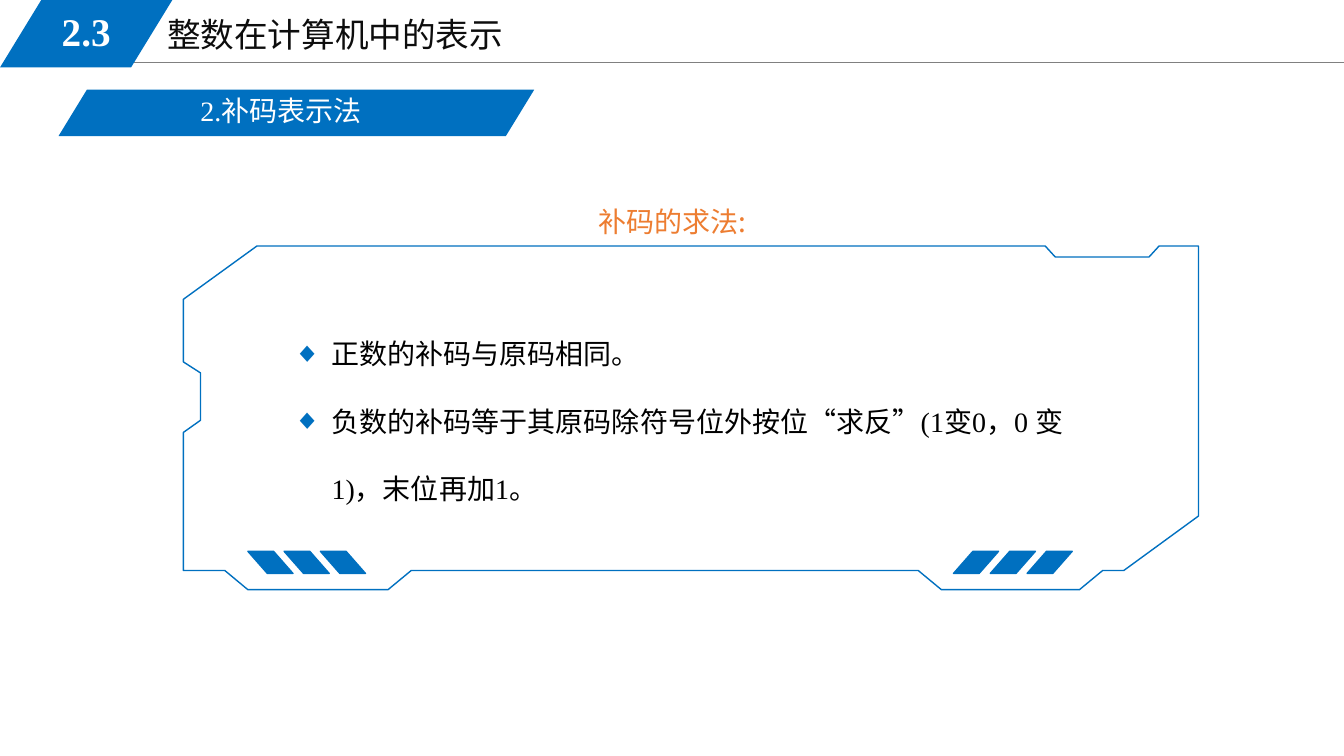
"""Build the slide on how to find the two's complement of an integer."""
from lxml import etree
from pptx import Presentation
from pptx.dml.color import RGBColor
from pptx.enum import shapes, text
from pptx.oxml import ns
from pptx.util import Pt

COLORS = {"blue": "0070C0", "orange": "ED7D31", "gray": "808080",
          "title": "0D0D0D", "black": "000000", "white": "FFFFFF"}
SERIF, CJK = "Times New Roman", "Noto Sans CJK SC"
FRAME = [(672.5, 421.2), (771.1, 421.2), (787.7, 407.5), (802.8, 407.5),
         (856.1, 368.6), (856.1, 175.7), (828, 175.7), (820.8, 183.6),
         (753.8, 183.6), (746.6, 175.7), (183.6, 175.7), (131, 213.8),
         (131, 258.5), (143.3, 266.4), (143.3, 300.2), (131, 308.9),
         (131, 407.5), (160.6, 407.5), (177.1, 421.2), (277.2, 421.2),
         (293.8, 407.5), (655.9, 407.5)]
RULES = ["正数的补码与原码相同。",
         "负数的补码等于其原码除符号位外按位“求反”(1变0，0 变1)，末位再加1。"]


def rgb(name):
    """Return the named colour."""
    return RGBColor.from_string(COLORS[name])


def add_bullet(p, char="◆", color="blue", indent=27.4):
    """Give a paragraph a coloured bullet with a hanging indent."""
    pPr = p._p.get_or_add_pPr()
    pPr.set("marL", str(Pt(indent)))
    pPr.set("indent", str(-Pt(indent)))
    clr = etree.SubElement(pPr, ns.qn("a:buClr"))
    etree.SubElement(clr, ns.qn("a:srgbClr"), val=COLORS[color])
    etree.SubElement(pPr, ns.qn("a:buFont"), typeface=SERIF)
    etree.SubElement(pPr, ns.qn("a:buChar"), char=char)


def add_text(slide, lines, x, y, w, h, size=20, color="black", font=SERIF,
             bold=False, align=text.PP_ALIGN.LEFT, anchor=text.MSO_ANCHOR.TOP,
             spacing=1.0, bullet=False):
    """Add a text box with one paragraph per line."""
    tf = slide.shapes.add_textbox(Pt(x), Pt(y), Pt(w), Pt(h)).text_frame
    tf.word_wrap = True
    tf.vertical_anchor = anchor
    for i, line in enumerate(lines):
        p = tf.paragraphs[0] if i == 0 else tf.add_paragraph()
        p.alignment = align
        p.line_spacing = spacing
        if bullet:
            add_bullet(p)
        r = p.add_run()
        r.text = line
        r.font.size, r.font.bold, r.font.name = Pt(size), bold, font
        r.font.color.rgb = rgb(color)
        etree.SubElement(r._r.get_or_add_rPr(), ns.qn("a:ea"), typeface=CJK)


def add_slant(slide, x, y, w, h, adj=0.612, outlined=False, mirrored=False):
    """Add a blue parallelogram."""
    s = slide.shapes.add_shape(shapes.MSO_SHAPE.PARALLELOGRAM,
                               Pt(x), Pt(y), Pt(w), Pt(h))
    s.shadow.inherit = False
    s.adjustments[0] = adj
    s.fill.solid()
    s.fill.fore_color.rgb = rgb("blue")
    if outlined:
        s.line.color.rgb = rgb("blue")
        s.line.width = Pt(1)
    else:
        s.line.fill.background()
    if mirrored:
        s._element.spPr.xfrm.set("flipH", "1")


def add_stripes(slide, x, step, mirrored):
    """Add a row of three slanted stripes."""
    for i in range(3):
        add_slant(slide, x + i * step, 393.8, 32.2, 15.8, adj=0.878,
                  outlined=True, mirrored=mirrored)


def add_frame(slide, points):
    """Add the closed outline around the rules."""
    start, *rest = [(Pt(x), Pt(y)) for x, y in points]
    builder = slide.shapes.build_freeform(*start, scale=1.0)
    builder.add_line_segments(rest, close=True)
    s = builder.convert_to_shape()
    s.shadow.inherit = False
    s.fill.background()
    s.line.color.rgb = rgb("blue")
    s.line.width = Pt(1)


def add_rule(slide, x1, x2, y):
    """Add the thin horizontal line under the title."""
    s = slide.shapes.add_connector(shapes.MSO_CONNECTOR.STRAIGHT,
                                   Pt(x1), Pt(y), Pt(x2), Pt(y))
    s.line.color.rgb = rgb("gray")
    s.line.width = Pt(0.75)
    etree.SubElement(s._element.spPr, ns.qn("a:effectLst"))


def main():
    """Build and save the slide."""
    prs = Presentation()
    prs.slide_width, prs.slide_height = Pt(960), Pt(540)
    slide = prs.slides.add_slide(prs.slide_layouts[6])

    add_rule(slide, 81.4, 960, 44.6)
    add_text(slide, ["整数在计算机中的表示"], 112.3, 6.5, 408, 124,
             size=24, color="title")
    add_slant(slide, 0, 0, 123.1, 48.2)
    add_text(slide, ["2.3"], 18, 1.4, 87.1, 41.8, size=28, color="white",
             bold=True, align=text.PP_ALIGN.CENTER,
             anchor=text.MSO_ANCHOR.MIDDLE)

    add_slant(slide, 41.8, 64.1, 339.8, 33.1)
    add_text(slide, ["2.补码表示法"], 136.1, 63.4, 328.3, 53.3, color="white")
    add_text(slide, ["补码的求法:"], 420.5, 130.3, 480.2, 72.7,
             color="orange", font=CJK, spacing=1.5)

    add_frame(slide, FRAME)
    add_stripes(slide, 681.1, 26.3, mirrored=False)
    add_stripes(slide, 177.1, 25.9, mirrored=True)
    add_text(slide, RULES, 202.3, 213.1, 591.1, 152.6, spacing=2.0,
             bullet=True)
    prs.save("out.pptx")


if __name__ == "__main__":
    main()
